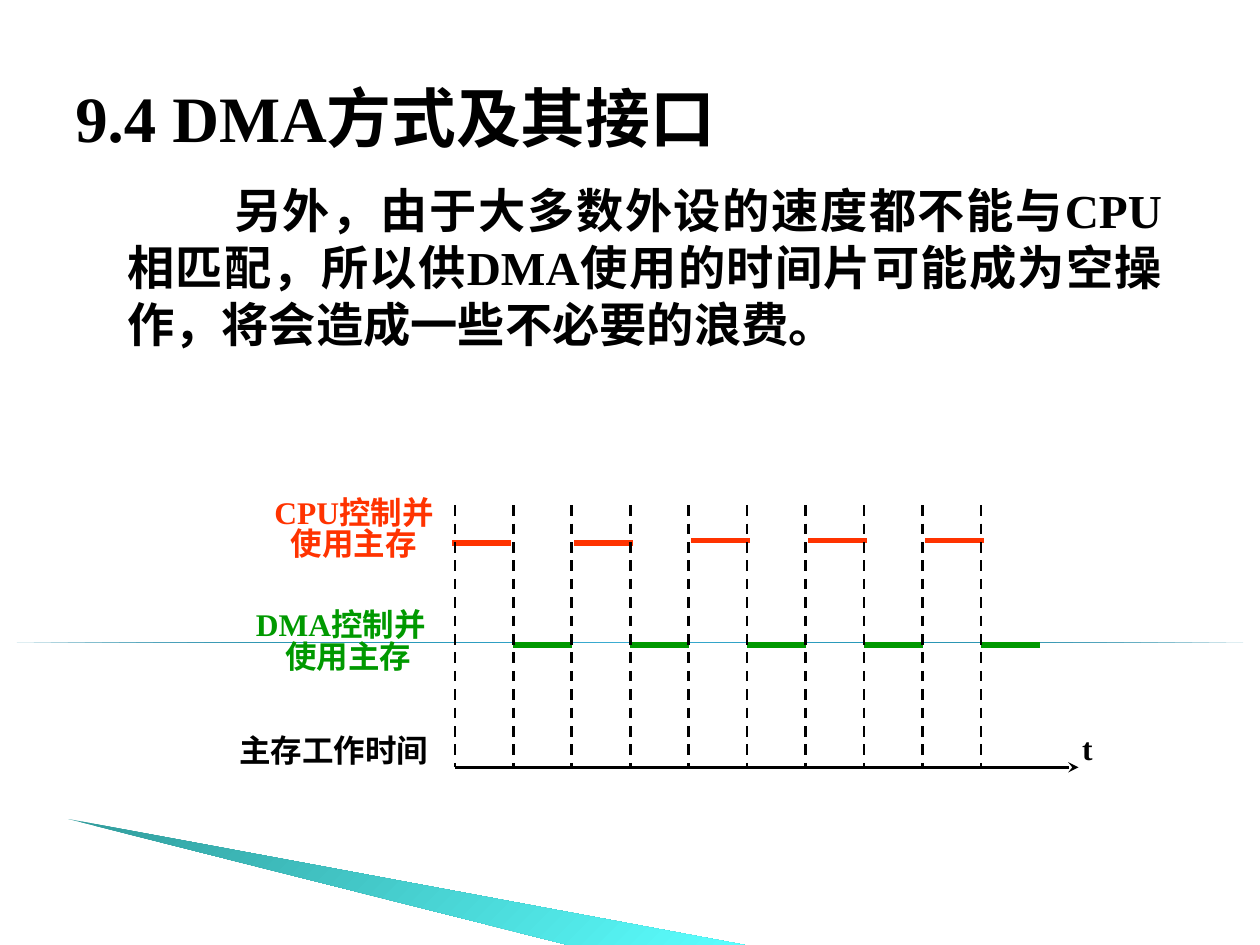
from lxml.etree import SubElement
from pptx import Presentation
from pptx.dml.color import RGBColor
from pptx.enum.dml import MSO_LINE
from pptx.enum.shapes import MSO_CONNECTOR, MSO_SHAPE
from pptx.enum.text import MSO_ANCHOR, PP_ALIGN
from pptx.oxml.ns import qn
from pptx.util import Inches, Pt

# Grid of 100 columns by 75 rows, each cell a tenth of an inch
CELL = 0.1
COLUMNS, ROWS = 100, 75
FONT = "Times New Roman"
BLACK, CPU_RED, DMA_GREEN = "000000", "FF3300", "009900"


def grid(cells):
    return Inches(cells * CELL)


def color(hex_text):
    return RGBColor.from_string(hex_text)


def set_gradient(shape, stops, angle):
    """Fill a shape with a linear gradient of (percent, colour) stops."""
    shape.shadow.inherit = False
    shape.line.fill.background()
    shape.fill.gradient()
    gradient = shape._element.spPr.find(qn("a:gradFill"))
    for child in list(gradient):
        gradient.remove(child)
    stop_list = SubElement(gradient, qn("a:gsLst"))
    for percent, hex_text in stops:
        stop = SubElement(stop_list, qn("a:gs"), pos=str(percent * 1000))
        SubElement(stop, qn("a:srgbClr"), val=hex_text)
    SubElement(gradient, qn("a:lin"), ang=str(angle * 60000), scaled="0")


def add_line(page, start, end, hex_text, width, dash=None, arrow=False):
    line = page.shapes.add_connector(
        MSO_CONNECTOR.STRAIGHT, *(grid(cells) for cells in start + end))
    line.line.color.rgb = color(hex_text)
    line.line.width = Pt(width)
    if dash:
        line.line.dash_style = dash
    if arrow:
        SubElement(line.line._get_or_add_ln(), qn("a:tailEnd"), type="stealth")
    SubElement(line._element.spPr, qn("a:effectLst"))


def add_text(page, box, lines, size, hex_text, align, anchor=MSO_ANCHOR.TOP):
    frame = page.shapes.add_textbox(*(grid(cells) for cells in box)).text_frame
    frame.word_wrap = True
    frame.vertical_anchor = anchor
    frame.text = "\n".join(lines)
    for para in frame.paragraphs:
        para.alignment = align
        para.font.name = FONT
        para.font.size = Pt(size)
        para.font.bold = True
        para.font.color.rgb = color(hex_text)
    return frame.paragraphs


def add_background(page):
    # Thin rule across the page
    rule = page.shapes.add_shape(
        MSO_SHAPE.RIGHT_TRIANGLE, 0, grid(51), grid(COLUMNS), 0)
    set_gradient(rule, [(0, "007897"), (50, "4ABBE0"), (100, "007897")], 50)

    # Wedge running off the bottom edge
    builder = page.shapes.build_freeform(grid(5.4), grid(65))
    builder.add_line_segments(
        [(grid(59.1), grid(ROWS)), (grid(45.1), grid(ROWS))], close=True)
    set_gradient(builder.convert_to_shape(),
                 [(0, "319C9C"), (100, "5BFFFF")], 45)


def add_heading(page, box):
    add_text(page, box, ["9.4 DMA方式及其接口"], 37, BLACK,
             PP_ALIGN.JUSTIFY, MSO_ANCHOR.MIDDLE)


def add_body(page, box):
    para = add_text(
        page, box,
        ["另外，由于大多数外设的速度都不能与CPU 相匹配，所以供DMA使用的时间片"
         "可能成为空操作，将会造成一些不必要的浪费。"],
        27, BLACK, PP_ALIGN.JUSTIFY)[0]
    properties = para._p.get_or_add_pPr()
    properties.set("marL", str(grid(4)))
    properties.set("indent", str(grid(8.5)))


def add_row_label(page, box, lines, hex_text, shift=0):
    """Centred label whose second line sits tight below the first."""
    paras = add_text(page, box, lines, 18, hex_text, PP_ALIGN.CENTER)
    for para in paras[1:]:
        para.line_spacing = 0.2
        para.space_before = Pt(11.2)
        para._p.get_or_add_pPr().set("marL", str(grid(shift)))


def add_timing_diagram(page, box):
    left, top, width, height = box
    bottom = top + height
    marks = 10
    slot = 4.64

    # CPU and DMA take turns, one time slot each
    for index in range(marks):
        start = left + index * slot
        if index % 2:
            level, hex_text = top + 11.1, DMA_GREEN
        else:
            start += 0.2 if index else -0.2
            level, hex_text = top + (3 if index < 4 else 2.8), CPU_RED
        add_line(page, (start, level), (start + slot, level), hex_text, 3)

    # Time axis and slot marks
    add_line(page, (left, bottom), (left + width, bottom), BLACK, 1.5,
             arrow=True)
    for index in range(marks):
        mark = left + index * slot
        add_line(page, (mark, top), (mark, bottom), BLACK, 1.5,
                 dash=MSO_LINE.DASH)

    # Labels
    add_row_label(page, (left - 17.3, top - 1.5, 18.6, 6.2),
                  ["CPU控制并", "使用主存"], CPU_RED)
    add_row_label(page, (left - 22.3, top + 7.4, 26.5, 6.2),
                  ["DMA控制并", "使用主存"], DMA_GREEN, shift=1.2)
    add_row_label(page, (left - 21.7, bottom - 3.4, 24.2, 4),
                  ["主存工作时间"], BLACK)
    add_text(page, (left + width - 0.7, bottom - 3.5, 7.7, 4), ["t"],
             18, BLACK, PP_ALIGN.LEFT)


def main():
    deck = Presentation()
    deck.slide_width, deck.slide_height = grid(COLUMNS), grid(ROWS)
    page = deck.slides.add_slide(deck.slide_layouts[6])
    page.background.fill.solid()
    page.background.fill.fore_color.rgb = color("FFFFFF")

    add_background(page)
    add_heading(page, (5, 3, 90, 12.5))
    add_body(page, (5.1, 13.9, 88.1, 56.5))
    add_timing_diagram(page, (36.1, 40.1, 49.5, 20.8))
    deck.save("out.pptx")


if __name__ == "__main__":
    main()
